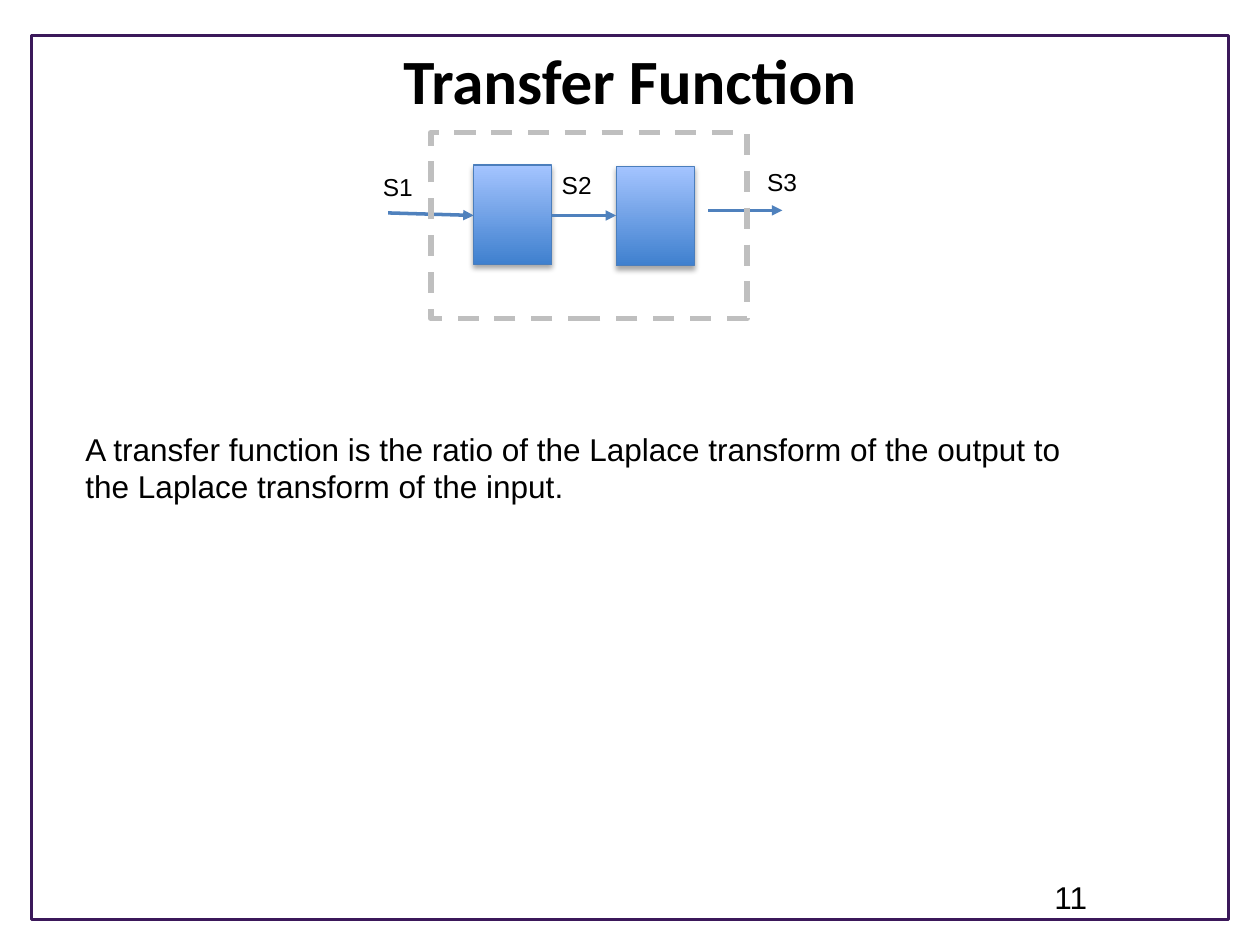
from lxml import etree
from pptx import Presentation
from pptx import util as u
from pptx.dml.color import RGBColor
from pptx.enum import dml, shapes, text
from pptx.oxml import parse_xml
from pptx.oxml.ns import nsdecls, qn

COLORS = {
    "text": "000000", "frame": "3B185A", "box_line": "4B7EBC",
    "box_bottom": "3F80CE", "box_top": "A4C4FF",
    "arrow": "4F81BD", "boundary": "BFBFBF",
}


def rgb(name):
    return RGBColor.from_string(COLORS[name])


def write(tf, content, size=18, font="Arial", bold=False, align=None):
    p = tf.paragraphs[0]
    p.alignment = align
    r = p.add_run()
    r.text = content
    r.font.size = u.Pt(size)
    r.font.name = font
    r.font.bold = bold
    r.font.color.rgb = rgb("text")


class Builder:
    """Draws styled elements on the current slide."""

    def __init__(self, slide):
        self.slide = slide
        self.target = slide.shapes

    def start_group(self):
        self.target = self.slide.shapes.add_group_shape().shapes

    def title(self, content, left, top, width, height):
        sp = self.slide.shapes.title
        sp.left, sp.top = u.Inches(left), u.Inches(top)
        sp.width, sp.height = u.Inches(width), u.Inches(height)
        tf = sp.text_frame
        tf.vertical_anchor = text.MSO_ANCHOR.TOP
        tf.margin_top = u.Inches(0.08)
        write(tf, content, size=36, font="Calibri", bold=True,
              align=text.PP_ALIGN.CENTER)

    def label(self, content, left, top, width, height, size=18, wrap=True):
        sp = self.target.add_textbox(u.Inches(left), u.Inches(top),
                                     u.Inches(width), u.Inches(height))
        sp.text_frame.word_wrap = wrap
        write(sp.text_frame, content, size=size)

    def outline(self, left, top, width, height, color, weight, dash=None):
        sp = self.target.add_shape(
            shapes.MSO_SHAPE.RECTANGLE, u.Inches(left), u.Inches(top),
            u.Inches(width), u.Inches(height))
        sp.shadow.inherit = False
        sp.fill.background()
        sp.line.color.rgb = rgb(color)
        sp.line.width = u.Pt(weight)
        if dash:
            sp.line.dash_style = dash
        return sp

    def block(self, left, top, width, height):
        sp = self.outline(left, top, width, height, "box_line", 0.75)
        sp.fill.gradient()
        sp.fill.gradient_angle = 90
        for stop, name in zip(sp.fill.gradient_stops, ("box_bottom", "box_top")):
            stop.color.rgb = rgb(name)
        # Soft shadow below the block
        effects = sp._element.spPr.find(qn("a:effectLst"))
        effects.append(parse_xml(
            f'<a:outerShdw {nsdecls("a")} blurRad="{u.Pt(3.1)}" '
            f'dist="{u.Pt(1.8)}" dir="5400000" rotWithShape="0">'
            f'<a:srgbClr val="{COLORS["text"]}"><a:alpha val="35000"/>'
            '</a:srgbClr></a:outerShdw>'))

    def arrow(self, x1, y1, x2, y2):
        cn = self.target.add_connector(
            shapes.MSO_CONNECTOR.STRAIGHT, u.Inches(x1), u.Inches(y1),
            u.Inches(x2), u.Inches(y2))
        cn.line.color.rgb = rgb("arrow")
        cn.line.width = u.Pt(2)
        etree.SubElement(cn.line._get_or_add_ln(), qn("a:tailEnd"),
                         type="triangle")
        etree.SubElement(cn._element.spPr, qn("a:effectLst"))


def main():
    prs = Presentation()
    prs.slide_width, prs.slide_height = u.Inches(10), u.Inches(7.5)
    s = prs.slides.add_slide(prs.slide_layouts[5])
    b = Builder(s)

    # Frame, title, page number and definition
    b.outline(0.25, 0.28, 9.5, 7.02, "frame", 1.75)
    b.title("Transfer Function", 0.5, 0.25, 9, 0.92)
    b.label("11", 8.27, 6.92, 0.56, 0.4)
    b.label("A transfer function is the ratio of the Laplace transform of the "
            "output to the Laplace transform of the input.",
            0.58, 3.36, 8.09, 0.71)

    # Block diagram: two stages joined by signals
    b.start_group()
    for left, top in ((3.76, 1.31), (4.89, 1.32)):
        b.block(left, top, 0.62, 0.79)
    signals = (
        ("S1", (2.94, 1.32), (3.08, 1.69, 3.76, 1.71)),
        ("S2", (4.36, 1.30), (4.38, 1.71, 4.89, 1.71)),
        ("S3", (5.99, 1.28), (5.62, 1.67, 6.21, 1.67)),
    )
    for name, place, ends in signals:
        b.arrow(*ends)
        b.label(name, *place, 0.44, 0.34, size=14, wrap=False)

    # System boundary
    b.outline(3.42, 1.05, 2.51, 1.48, "boundary", 3, dml.MSO_LINE.DASH)

    prs.save("out.pptx")


if __name__ == "__main__":
    main()
